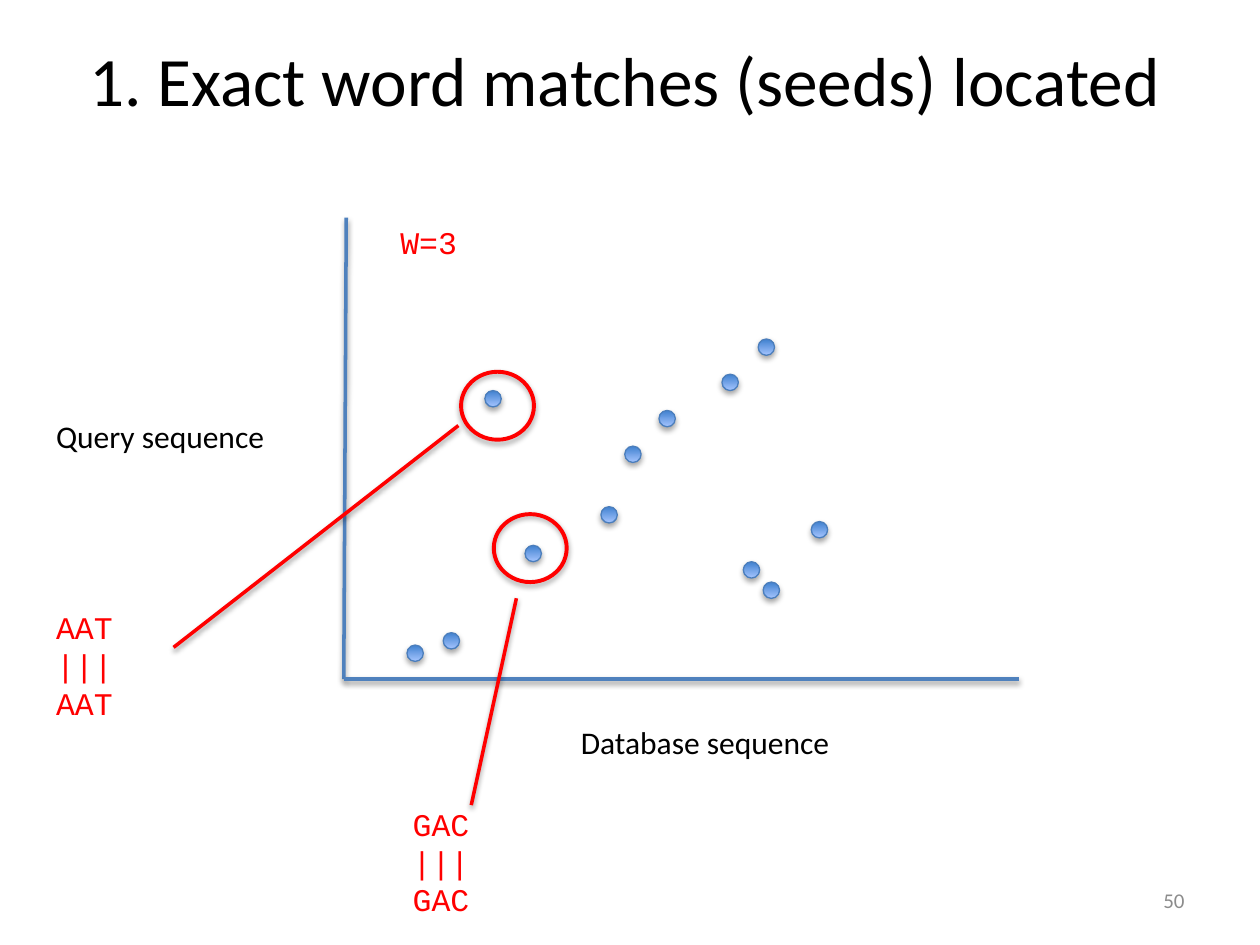
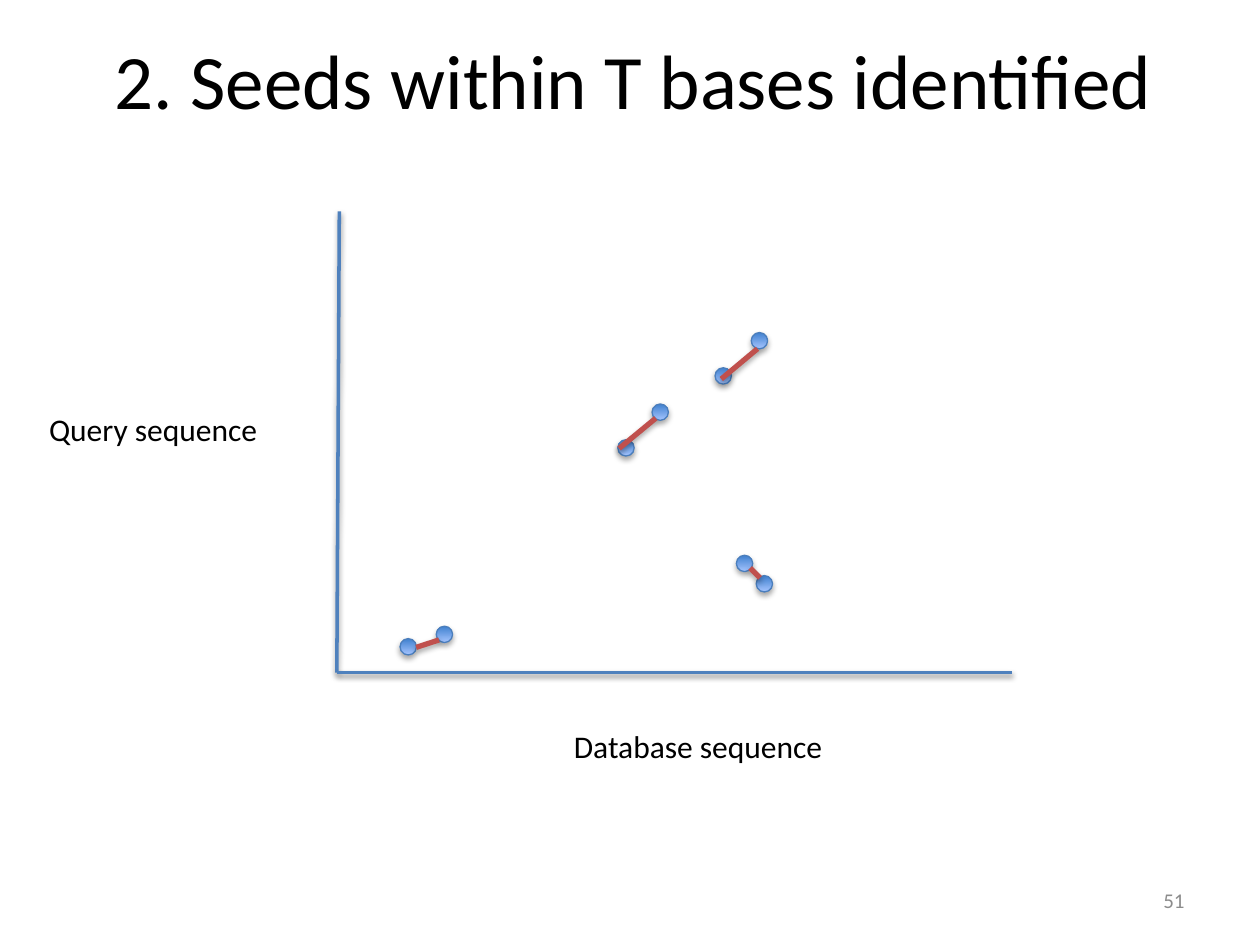
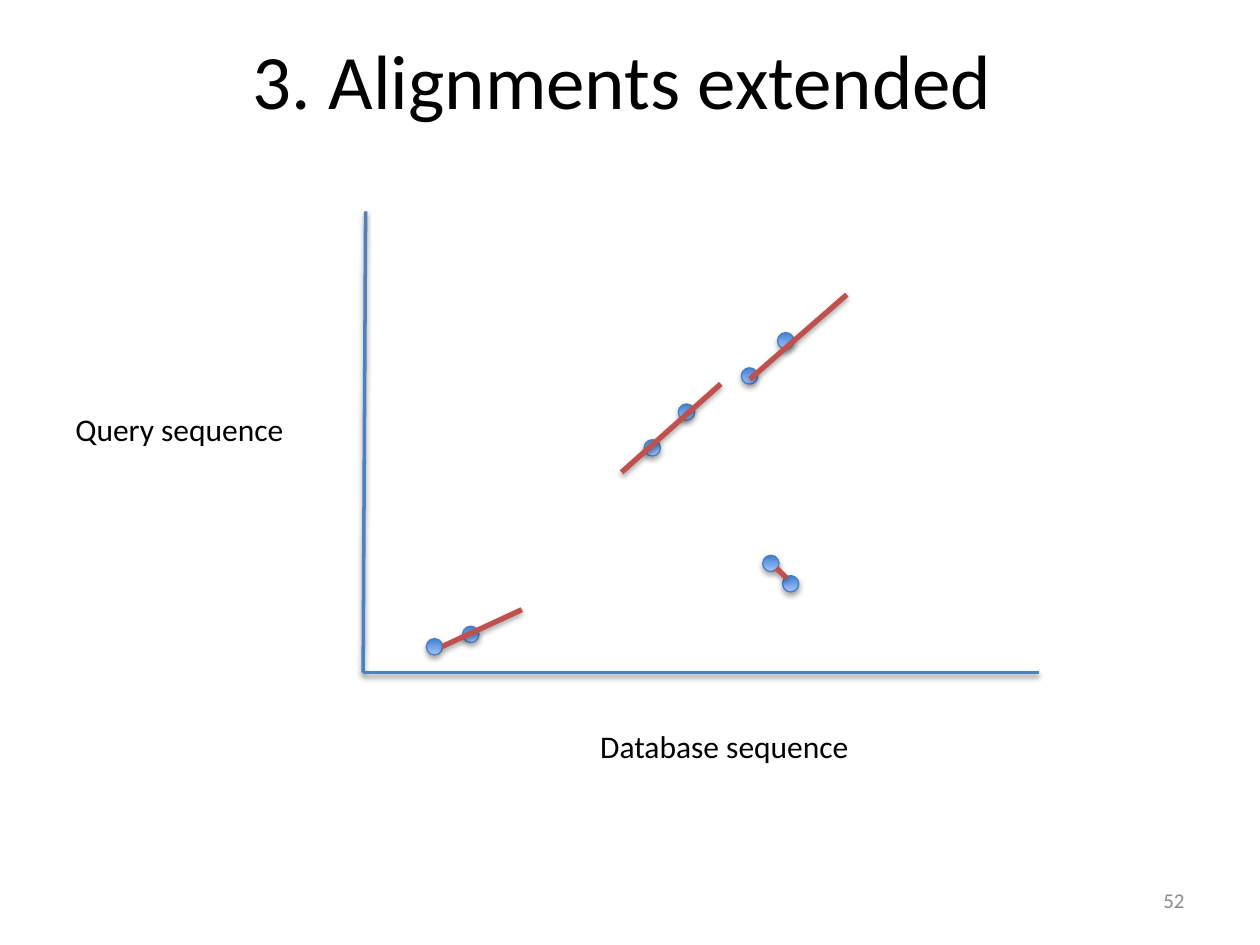
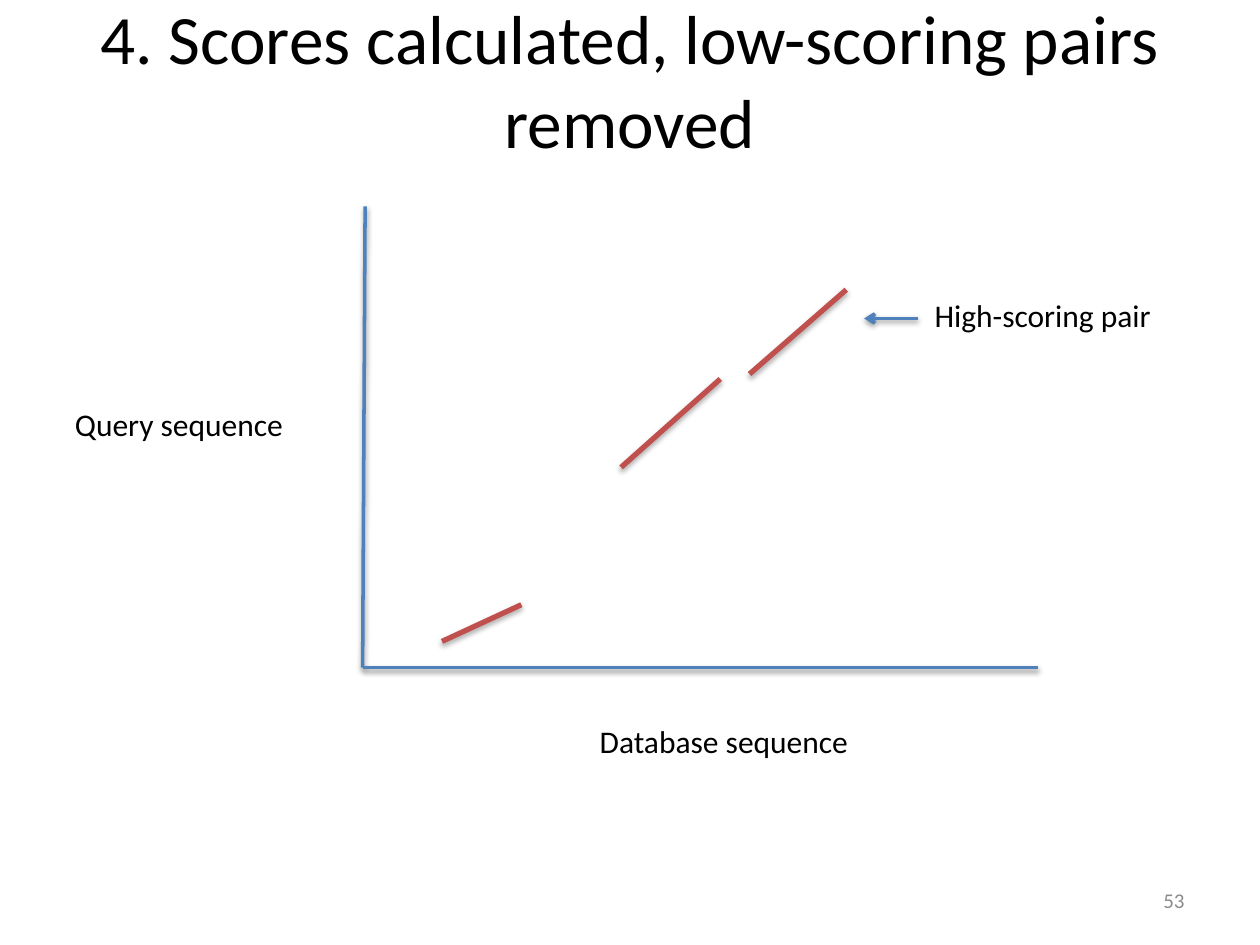
from lxml.etree import SubElement
from pptx import Presentation
from pptx.dml.color import RGBColor
from pptx.enum.shapes import MSO_CONNECTOR, MSO_SHAPE
from pptx.enum.text import MSO_ANCHOR, MSO_AUTO_SIZE, PP_ALIGN
from pptx.oxml.ns import qn
from pptx.util import Cm, Pt

# Shared style
BLACK = RGBColor(0x00, 0x00, 0x00)
GREY = RGBColor(0x8C, 0x8C, 0x8C)
RED = RGBColor(0xFF, 0x00, 0x00)
BRICK = RGBColor(0xC0, 0x50, 0x4D)
BLUE = RGBColor(0x4F, 0x81, 0xBD)
DOT_LINE = RGBColor(0x4B, 0x7E, 0xBC)
DOT_DARK = RGBColor(0x3F, 0x80, 0xCE)
DOT_LIGHT = RGBColor(0xA4, 0xC4, 0xFF)
BODY_FONT = "Calibri"
CODE_FONT = "Courier New"
DOT_SIZE = 0.33
LABEL_HEIGHT = 1.02

# Seeds: centres in cm, right of and above the plot corner
LOW_SEEDS = [(1.44, 0.52), (2.17, 0.77)]
MIDDLE_SEEDS = [(5.83, 4.53), (6.52, 5.25)]
HIGH_SEEDS = [(7.79, 5.98), (8.52, 6.69)]
FALLING_SEEDS = [(8.22, 2.2), (8.62, 1.79)]
PAIRED_SEEDS = MIDDLE_SEEDS + HIGH_SEEDS + FALLING_SEEDS + LOW_SEEDS
LONE_SEEDS = [(3.82, 2.53), (5.35, 3.31), (3.01, 5.65), (9.59, 3.01)]

# Alignments: start and end points in the same plot coordinates
FALLING_LINK = ((8.33, 2.11), (8.53, 1.91))
SEED_LINKS = [((1.6, 0.51), (2.06, 0.66)), ((5.69, 4.52), (6.43, 5.13)),
              ((7.75, 5.92), (8.48, 6.53)), FALLING_LINK]
EXTENDED = [((1.6, 0.53), (3.2, 1.27)), ((5.21, 4.04), (7.21, 5.82)),
            ((7.8, 5.92), (9.75, 7.62))]


class PlotDeck:
    """Holds the style, the current slide and the corner of its plot."""

    def __init__(self):
        self.presentation = Presentation()
        self.presentation.slide_width = Cm(25.4)
        self.presentation.slide_height = Cm(19.05)
        self.slide = None
        self.corner = (0, 0)

    def place(self, point):
        """Turn plot coordinates into a position on the slide."""
        return Cm(self.corner[0] + point[0]), Cm(self.corner[1] - point[1])

    def new_slide(self, title, title_left, number, corner,
                  title_size=44.0, caption_drop=0.97):
        self.slide = self.presentation.slides.add_slide(
            self.presentation.slide_layouts[6])
        self.corner = corner
        self.text([title], (Cm(title_left), Cm(0)), 22.86, 3.18, size=title_size,
                  align=PP_ALIGN.CENTER, anchor=MSO_ANCHOR.MIDDLE, wrap=True)
        self.text([str(number)], (Cm(18.2), Cm(17.65)), 5.93, 1.01, size=12,
                  color=GREY, align=PP_ALIGN.RIGHT, anchor=MSO_ANCHOR.MIDDLE, wrap=True)
        # Axes and their captions
        self.line((0.05, 9.3), (0, 0), BLUE)
        self.line((0, 0), (13.62, 0), BLUE)
        self.label("Database sequence", (4.53, -caption_drop), 5.56)
        self.label("Query sequence", (-6.05, 5.41), 4.75)

    def text(self, lines, position, width, height, size=18, font=BODY_FONT, color=BLACK,
             align=PP_ALIGN.LEFT, anchor=MSO_ANCHOR.TOP, wrap=False, grow=False):
        box = self.slide.shapes.add_textbox(*position, Cm(width), Cm(height))
        frame = box.text_frame
        frame.word_wrap = wrap
        frame.vertical_anchor = anchor
        frame.auto_size = MSO_AUTO_SIZE.SHAPE_TO_FIT_TEXT if grow else MSO_AUTO_SIZE.NONE
        for index, line in enumerate(lines):
            paragraph = frame.add_paragraph() if index else frame.paragraphs[0]
            paragraph.alignment = align
            run = paragraph.add_run()
            run.text = line
            run.font.size = Pt(size)
            run.font.name = font
            run.font.color.rgb = color

    def label(self, text, point, width, **style):
        self.text([text], self.place(point), width, LABEL_HEIGHT, grow=True, **style)

    def word_match(self, word, point):
        self.text([word, "|" * len(word), word], self.place(point), 2.34, 2.57,
                  font=CODE_FONT, color=RED, wrap=True, grow=True)

    def line(self, start, end, color, width=2, arrow=False):
        connector = self.slide.shapes.add_connector(
            MSO_CONNECTOR.STRAIGHT, *self.place(start), *self.place(end))
        connector.line.color.rgb = color
        connector.line.width = Pt(width)
        if arrow:
            SubElement(connector.line._get_or_add_ln(), qn("a:tailEnd"), type="arrow")
        if width == 2:
            self.shadow(connector, opacity=38, distance=1.6)
        else:
            self.shadow(connector)

    def alignments(self, segments):
        for start, end in segments:
            self.line(start, end, BRICK, width=3)

    def ellipse(self, centre, width, height, line_color, line_width):
        x, y = self.place(centre)
        shape = self.slide.shapes.add_shape(
            MSO_SHAPE.OVAL, x - Cm(width / 2), y - Cm(height / 2), Cm(width), Cm(height))
        shape.fill.background()
        shape.line.color.rgb = line_color
        shape.line.width = Pt(line_width)
        self.shadow(shape)
        return shape

    def seeds(self, centres):
        for centre in centres:
            dot = self.ellipse(centre, DOT_SIZE, DOT_SIZE, DOT_LINE, 0.75)
            dot.fill.gradient()
            dot.fill.gradient_angle = 90
            for stop, color in zip(dot.fill.gradient_stops, (DOT_DARK, DOT_LIGHT)):
                stop.color.rgb = color
            dot._element.spPr.find(qn("a:xfrm")).set("flipV", "1")

    def ring(self, centre):
        self.ellipse(centre, 1.47, 1.37, RED, 2.25)

    def shadow(self, shape, opacity=35, distance=1.8):
        effects = SubElement(shape._element.spPr, qn("a:effectLst"))
        outer = SubElement(effects, qn("a:outerShdw"), blurRad=str(Pt(3.15)),
                           dist=str(Pt(distance)), dir="5400000", rotWithShape="0")
        color = SubElement(outer, qn("a:srgbClr"), val=str(BLACK))
        SubElement(color, qn("a:alpha"), val=str(opacity * 1000))


def main():
    deck = PlotDeck()

    # Seeds located
    deck.new_slide("1. Exact word matches (seeds) located", 1.17, 50, (6.93, 13.69),
                   title_size=39.6, caption_drop=0.76)
    deck.seeds(PAIRED_SEEDS + LONE_SEEDS)
    deck.ring((3.76, 2.64))
    deck.line((2.31, 5.11), (-3.43, 0.64), RED)
    deck.word_match("AAT", (-6.05, 1.55))
    deck.ring((3.1, 5.51))
    deck.line((3.48, 1.63), (2.57, -2.54), RED)
    deck.word_match("GAC", (1.14, -2.41))
    deck.label("W=3", (0.89, 9.32), 1.68, font=CODE_FONT, color=RED)

    # Nearby seeds joined
    deck.new_slide("2. Seeds within T bases identified", 1.35, 51, (6.79, 13.56))
    deck.seeds(PAIRED_SEEDS)
    deck.alignments(SEED_LINKS)

    # Alignments extended
    deck.new_slide("3. Alignments extended ", 1.3, 52, (7.32, 13.56))
    deck.seeds(PAIRED_SEEDS)
    deck.alignments(EXTENDED + [FALLING_LINK])

    # High-scoring pairs kept
    deck.new_slide("4. Scores calculated, low-scoring pairs removed", 1.27, 53,
                   (7.31, 13.46), title_size=39.6)
    deck.alignments(EXTENDED)
    deck.label("High-scoring pair", (11.28, 7.62), 4.93)
    deck.line((11.2, 7.04), (10.11, 7.04), BLUE, arrow=True)

    deck.presentation.save("out.pptx")


if __name__ == "__main__":
    main()
